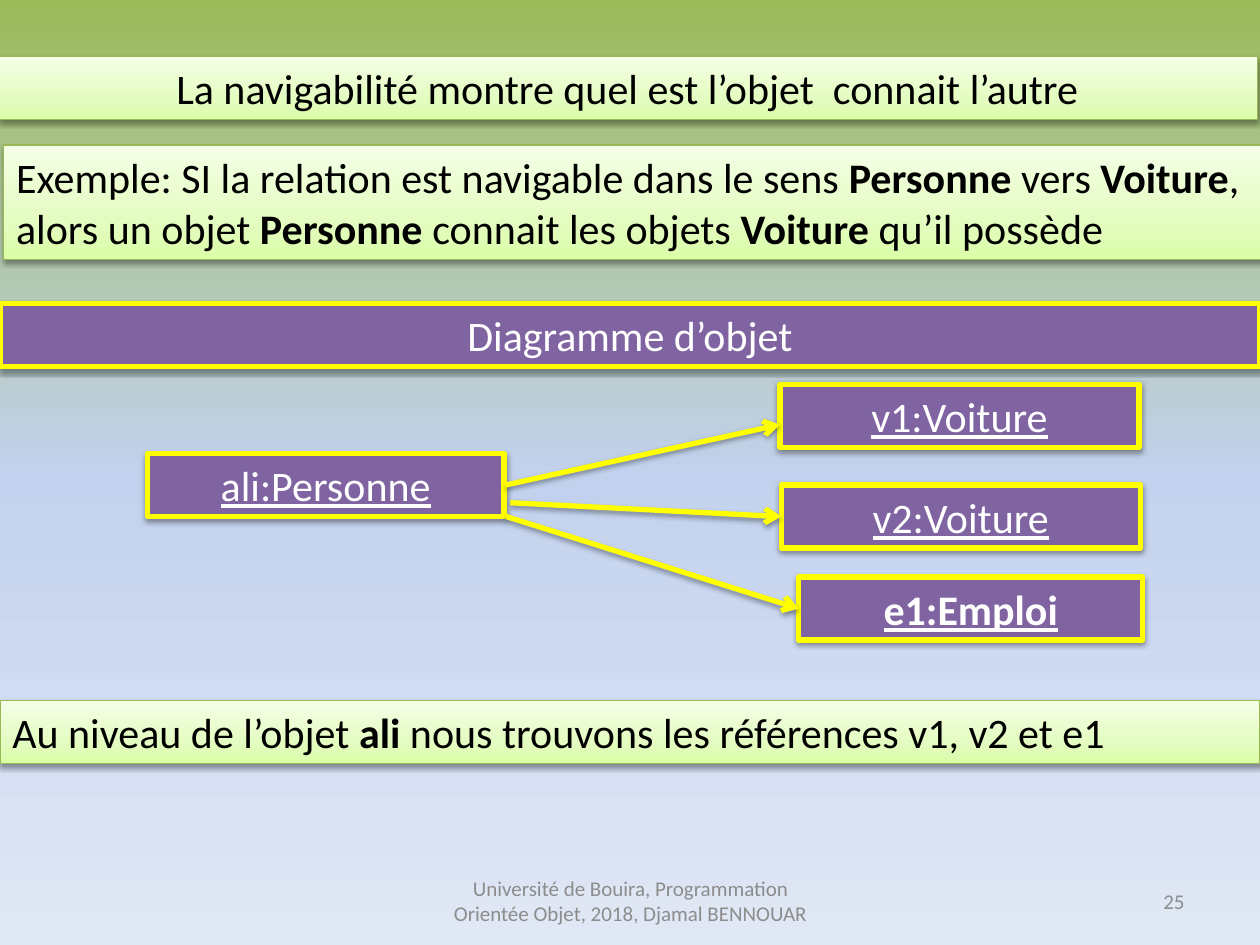
from pptx import Presentation
from pptx.dml.color import RGBColor
from pptx.enum.shapes import MSO_CONNECTOR, MSO_SHAPE
from pptx.enum.text import MSO_ANCHOR, MSO_AUTO_SIZE, PP_ALIGN
from pptx.oxml import parse_xml
from pptx.oxml.ns import nsdecls, qn
from pptx.util import Inches, Pt

COLORS = {
    "green": "9BBB59", "sky": "C2D1ED", "pale": "E1E8F5",
    "lime": "DAFDA7", "light_lime": "E4FCC2", "white_lime": "F5FFE7",
    "olive": "98B955", "purple": "8064A2", "yellow": "FFFF00",
    "black": "000000", "white": "FFFFFF", "gray": "8C8C8C",
}
SLIDE_STOPS = [(0, "green"), (50, "sky"), (100, "pale")]
BANNER_STOPS = [(0, "lime"), (35, "light_lime"), (100, "white_lime")]
COLUMNS, ROWS = 100, 75
BOX_HEIGHT = 5


class ObjectDiagram:
    def __init__(self, presentation):
        self.font_name = "Calibri"
        self.cell_width = presentation.slide_width / COLUMNS
        self.cell_height = presentation.slide_height / ROWS
        self.slide = presentation.slides.add_slide(presentation.slide_layouts[6])

    def place(self, column, row):
        return round(column * self.cell_width), round(row * self.cell_height)

    def color(self, name):
        return RGBColor.from_string(COLORS[name])

    def gradient(self, fill, parent, stops, angle):
        fill.gradient()
        stop_xml = "".join(
            f'<a:gs pos="{position * 1000}"><a:srgbClr val="{COLORS[name]}"/></a:gs>'
            for position, name in stops
        )
        old = next(parent.iter(qn("a:gradFill")))
        old.getparent().replace(old, parse_xml(
            f'<a:gradFill {nsdecls("a")} rotWithShape="1"><a:gsLst>{stop_xml}</a:gsLst>'
            f'<a:lin ang="{angle * 60000}" scaled="0"/></a:gradFill>'
        ))

    def background(self, stops):
        self.gradient(self.slide.background.fill, self.slide.element, stops, 90)

    def outline(self, shape, color, width):
        shape.line.color.rgb = self.color(color)
        shape.line.width = Pt(width)

    def shadow(self, shape):
        properties = shape.element.spPr
        for effects in properties.findall(qn("a:effectLst")):
            properties.remove(effects)
        properties.append(parse_xml(
            f'<a:effectLst {nsdecls("a")}><a:outerShdw blurRad="40000" dist="20000" '
            f'dir="5400000" rotWithShape="0"><a:srgbClr val="{COLORS["black"]}">'
            '<a:alpha val="38000"/></a:srgbClr></a:outerShdw></a:effectLst>'
        ))

    def label(self, shape, text, color, size, alignment, **font_format):
        frame = shape.text_frame
        frame.word_wrap = True
        frame.vertical_anchor = MSO_ANCHOR.MIDDLE
        paragraph = frame.paragraphs[0]
        paragraph.alignment = alignment
        values = {"name": self.font_name, "size": Pt(size), **font_format}
        for index, part in enumerate(text.split("**")):
            if not part:
                continue
            run = paragraph.add_run()
            run.text = part
            run.font.color.rgb = self.color(color)
            for attribute, value in {**values, "bold": index % 2 == 1}.items():
                setattr(run.font, attribute, value)

    def box(self, column, row, width, height):
        shape = self.slide.shapes.add_shape(
            MSO_SHAPE.RECTANGLE, *self.place(column, row), *self.place(width, height)
        )
        shape.shadow.inherit = False
        shape.text_frame.auto_size = MSO_AUTO_SIZE.SHAPE_TO_FIT_TEXT
        return shape

    def banner(self, column, row, height, text, alignment=PP_ALIGN.LEFT):
        shape = self.box(column, row, COLUMNS, height)
        self.gradient(shape.fill, shape.element.spPr, BANNER_STOPS, 270)
        self.outline(shape, "olive", 0.75)
        self.shadow(shape)
        self.label(shape, text, "black", 24, alignment)

    def purple_box(self, column, row, width, text, underline=True):
        shape = self.box(column, row, width, BOX_HEIGHT)
        shape.fill.solid()
        shape.fill.fore_color.rgb = self.color("purple")
        self.outline(shape, "yellow", 3)
        self.shadow(shape)
        self.label(shape, text, "white", 24, PP_ALIGN.CENTER, underline=underline)

    def arrow(self, start, end):
        connector = self.slide.shapes.add_connector(
            MSO_CONNECTOR.STRAIGHT, *self.place(*start), *self.place(*end)
        )
        self.outline(connector, "yellow", 3)
        connector.element.spPr.find(qn("a:ln")).append(
            parse_xml(f'<a:tailEnd {nsdecls("a")} type="arrow"/>')
        )
        self.shadow(connector)

    def footer(self, column, width, text, alignment):
        shape = self.slide.shapes.add_textbox(
            *self.place(column, 69.5), *self.place(width, 4)
        )
        self.label(shape, text, "gray", 12, alignment)


def main():
    presentation = Presentation()
    presentation.slide_width = Inches(10)
    presentation.slide_height = Inches(7.5)
    diagram = ObjectDiagram(presentation)
    diagram.background(SLIDE_STOPS)

    diagram.footer(
        34.2, 31.7,
        "Université de Bouira, Programmation Orientée Objet, 2018, Djamal BENNOUAR",
        PP_ALIGN.CENTER,
    )
    diagram.footer(71.7, 23.3, "25", PP_ALIGN.RIGHT)

    diagram.banner(
        -0.2, 4.5, BOX_HEIGHT,
        "La navigabilité montre quel est l’objet  connait l’autre", PP_ALIGN.CENTER,
    )
    diagram.banner(
        0.3, 11.5, 9.1,
        "Exemple: SI la relation est navigable dans le sens **Personne** vers **Voiture**, "
        "alors un objet **Personne **connait les objets **Voiture** qu’il possède",
    )

    diagram.purple_box(11.7, 36, 28.3, "ali:Personne")
    targets = [
        (61.9, 30.5, 28.5, "v1:Voiture", (40.1, 38.5), 33.7),
        (63.4, 45.8, 27.3, "**e1:Emploi**", (40.2, 41), 48.3),
        (62, 38.5, 28.5, "v2:Voiture", (40.5, 39.9), 41),
    ]
    for column, row, width, text, start, arrow_row in targets:
        diagram.purple_box(column, row, width, text)
        diagram.arrow(start, (column, arrow_row))

    diagram.banner(
        0, 55.6, BOX_HEIGHT,
        "Au niveau de l’objet **ali** nous trouvons les références v1, v2 et e1",
    )
    diagram.purple_box(0, 24.1, COLUMNS, "Diagramme d’objet", underline=False)

    presentation.save("out.pptx")


if __name__ == "__main__":
    main()
